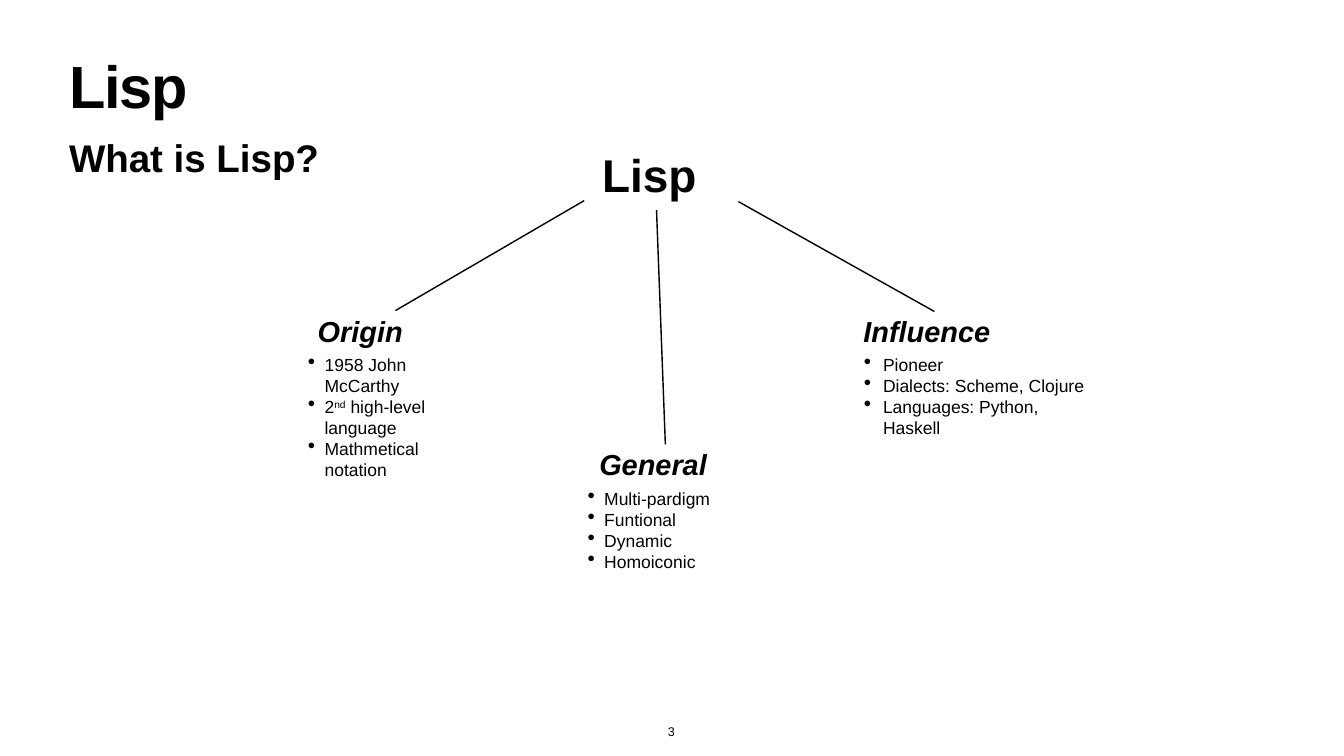
import pptx
import pptx.util
import pptx.dml.color
import pptx.enum.shapes
import pptx.enum.text
import pptx.oxml.ns
from lxml import etree

Cm = pptx.util.Cm
Pt = pptx.util.Pt
COLORS = {"ink": "000000", "paper": "FFFFFF"}
FONT = "Arial"


def add_text(para, text, size=25, bold=False, italic=False, tracking=None, raised=None):
    """Add one formatted span to a paragraph."""
    span = para.add_run()
    span.text = text
    font = span.font
    font.name, font.size, font.bold, font.italic = FONT, Pt(size), bold, italic
    font.color.rgb = pptx.dml.color.RGBColor.from_string(COLORS["ink"])
    props = span._r.get_or_add_rPr()
    if tracking is not None:
        props.set("spc", str(round(tracking * 100)))
    if raised is not None:
        props.set("baseline", str(raised * 1000))


class SlideMaker:
    def __init__(self, page):
        self.page = page
        page.background.fill.solid()
        page.background.fill.fore_color.rgb = pptx.dml.color.RGBColor.from_string(COLORS["paper"])

    def prepare(self, box, inset):
        frame = box.text_frame
        frame.word_wrap = True
        frame.auto_size = pptx.enum.text.MSO_AUTO_SIZE.NONE
        frame.vertical_anchor = pptx.enum.text.MSO_ANCHOR.TOP
        frame.margin_left = frame.margin_right = Cm(inset)
        frame.margin_top = frame.margin_bottom = Cm(inset)
        return frame

    def indent(self, para, left, hanging=0):
        props = para._p.get_or_add_pPr()
        props.set("marL", str(Cm(left)))
        props.set("indent", str(-Cm(hanging)))
        return props

    def bullet(self, para, left):
        props = self.indent(para, left, left)
        for tag, key, value in (("a:buSzPct", "val", "123000"), ("a:buChar", "char", "•")):
            etree.SubElement(props, pptx.oxml.ns.qn(tag)).set(key, value)

    def new_box(self, place):
        return self.page.shapes.add_textbox(*map(Cm, place))

    def placeholder(self, box, place, text, inset=0.13, spacing=1.0, **style):
        box.left, box.top, box.width, box.height = map(Cm, place)
        para = self.prepare(box, inset).paragraphs[0]
        para.alignment = pptx.enum.text.PP_ALIGN.LEFT
        para.line_spacing = spacing
        para.space_before = Pt(0)
        props = self.indent(para, 0)
        etree.SubElement(props, pptx.oxml.ns.qn("a:buNone"))
        add_text(para, text, bold=True, **style)

    def heading(self, place, text, left=0, spacing=1.0, **style):
        box = self.new_box(place)
        para = self.prepare(box, 0.13).paragraphs[0]
        para.line_spacing = spacing
        self.indent(para, left)
        add_text(para, text, bold=True, **style)
        return box

    def bullets(self, place, items, left):
        frame = self.prepare(self.new_box(place), 0.15)
        frame.auto_size = pptx.enum.text.MSO_AUTO_SIZE.SHAPE_TO_FIT_TEXT
        for index, spans in enumerate(items):
            para = frame.add_paragraph() if index else frame.paragraphs[0]
            self.bullet(para, left)
            for text, raised in spans:
                add_text(para, text, raised=raised)

    def page_number(self, place, text):
        frame = self.prepare(self.new_box(place), 0.15)
        frame.word_wrap = False
        frame.auto_size = pptx.enum.text.MSO_AUTO_SIZE.SHAPE_TO_FIT_TEXT
        frame.vertical_anchor = pptx.enum.text.MSO_ANCHOR.BOTTOM
        frame.paragraphs[0].alignment = pptx.enum.text.PP_ALIGN.CENTER
        add_text(frame.paragraphs[0], text, size=18)

    def branch(self, box, side, free_end):
        """Draw a line from the middle of a box side to a free point."""
        x, y = map(Cm, free_end)
        line = self.page.shapes.add_connector(
            pptx.enum.shapes.MSO_CONNECTOR.STRAIGHT, x, y, x, y)
        line.begin_connect(box, side)
        line.line.width = Pt(2)
        line.line.color.rgb = pptx.dml.color.RGBColor.from_string(COLORS["ink"])
        etree.SubElement(line._element.spPr, pptx.oxml.ns.qn("a:effectLst"))


def plain(*items):
    return [[(item, None)] for item in items]


def main():
    deck = pptx.Presentation()
    deck.slide_width, deck.slide_height = Cm(67.73), Cm(38.1)
    page = deck.slides.add_slide(deck.slide_layouts[1])
    maker = SlideMaker(page)

    # Title and subtitle
    maker.placeholder(page.shapes.title, (3.35, 3, 27.15, 3.99), "Lisp",
                      inset=0.15, spacing=0.8, size=85, tracking=-1.7)
    maker.placeholder(page.placeholders[1], (3.35, 6.6, 27.15, 2.59), "What is Lisp?", size=55)

    # Root and branch headings
    root = maker.heading((28.93, 7.57, 8.31, 3.02), "Lisp", left=1.29, spacing=0.9, size=65.6)
    topics = {
        name: maker.heading((left, top, width, 2.59), name, size=41.3, italic=True)
        for name, left, top, width in (
            ("Origin", 15.88, 15.65, 8.1),
            ("General", 30.07, 22.4, 8.38),
            ("Influence", 43.38, 15.7, 7.42),
        )
    }

    # Branch lines
    maker.branch(topics["Origin"], 0, (29.44, 10.11))
    maker.branch(root, 2, (33.53, 22.4))
    maker.branch(topics["Influence"], 0, (37.21, 10.16))

    # Lists under the headings
    origin = plain("1958 John McCarthy", "Mathmetical notation")
    origin.insert(1, [("2", None), ("nd", 30), (" high-level language", None)])
    maker.bullets((15.37, 17.7, 7.19, 6.71), origin, 0.84)
    maker.bullets((29.46, 24.46, 7.19, 6.71),
                  plain("Multi-pardigm", "Funtional", "Dynamic", "Homoiconic"), 0.84)
    maker.bullets((43.38, 17.7, 12.17, 5.64),
                  plain("Pioneer", "Dialects: Scheme, Clojure", "Languages: Python, Haskell"), 0.97)

    # Page number
    maker.page_number((33.32, 36.35, 1.02, 1.04), "3")

    deck.save("out.pptx")


if __name__ == "__main__":
    main()
